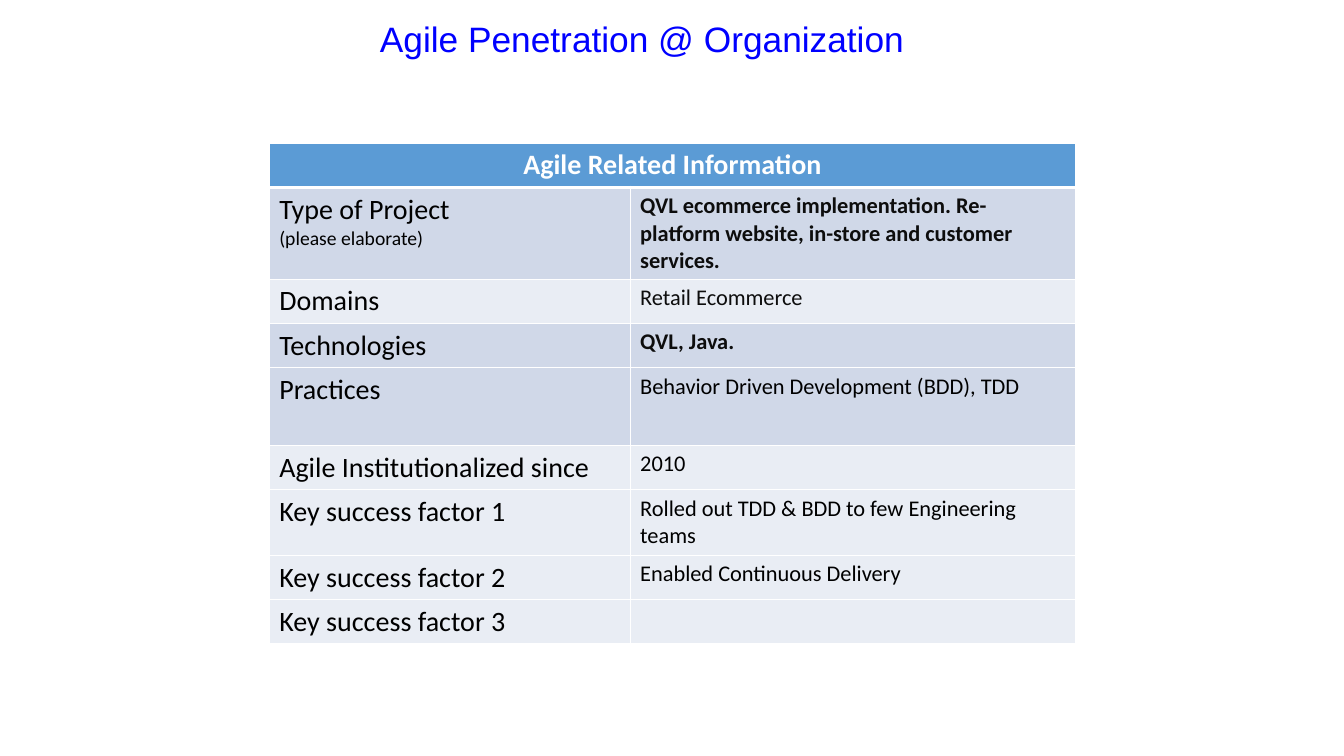
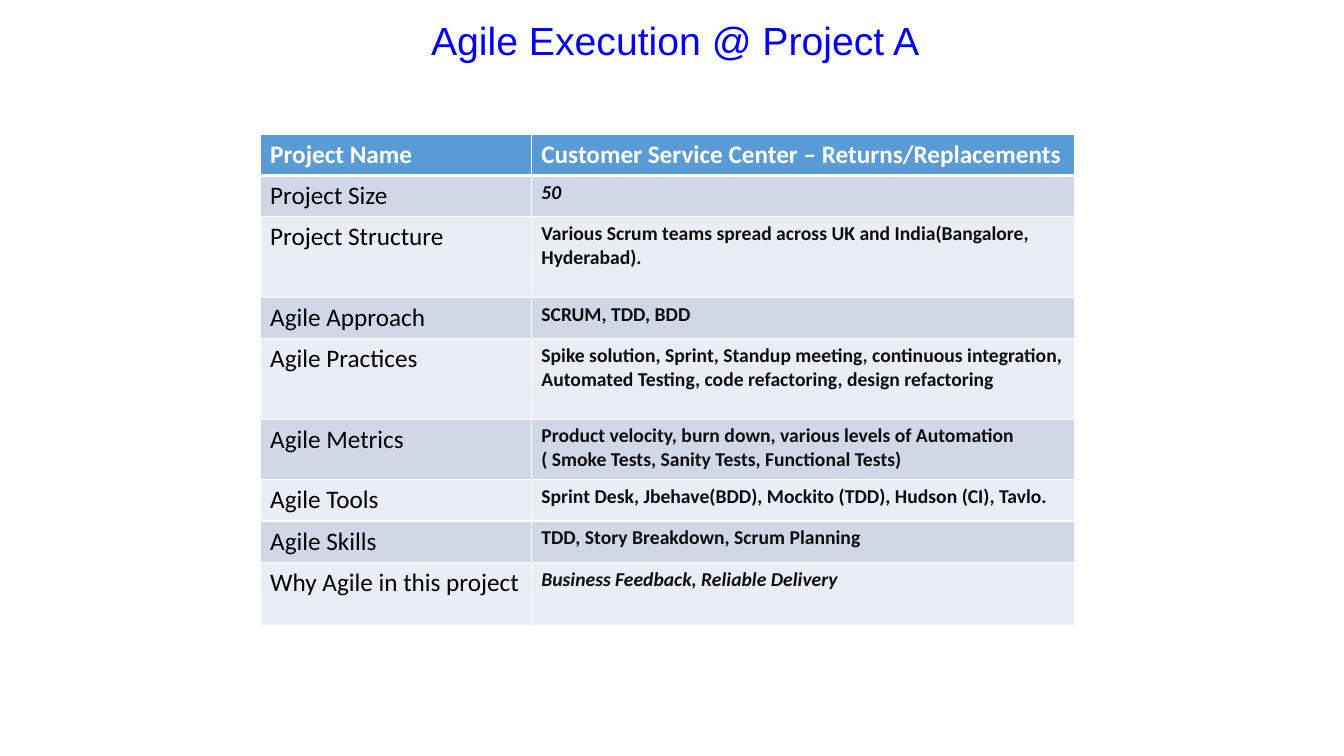
from lxml.etree import SubElement
from pptx import Presentation
from pptx.dml.color import RGBColor
from pptx.enum.text import MSO_ANCHOR, PP_ALIGN
from pptx.oxml.ns import qn
from pptx.util import Inches, Pt

BLUE, HEADER, DARK, LIGHT = "0000FF", "5B9BD5", "D0D8E8", "E9EDF4"
WHITE, BLACK, INK = "FFFFFF", "000000", "0D0D0D"
STYLES = {
    "header": (WHITE, True, False),
    "label": (BLACK, False, False),
    "plain": (BLACK, False, False),
    "ink": (INK, False, False),
    "bold": (INK, True, False),
    "bold italic": (INK, True, True),
}

SLIDES = [
    {
        "title": "Agile Penetration @ Organization",
        "title_box": (3.67, 0.17, 7, 0.83),
        "title_size": 25.2,
        "title_align": PP_ALIGN.LEFT,
        "table_at": (2.67, 1.42),
        "columns": (3.58, 4.42),
        "sizes": (20, 16),
        "header": ("Agile Related Information",),
        "header_height": 0.44,
        "rows": [
            ("Type of Project\n(please elaborate)",
             "QVL ecommerce implementation. Re-platform website, in-store and customer services.",
             "bold", DARK, 0.91),
            ("Domains", "Retail Ecommerce", "ink", LIGHT, 0.44),
            ("Technologies", "QVL, Java.", "bold", DARK, 0.44),
            ("Practices", "Behavior Driven Development (BDD), TDD", "plain", DARK, 0.77),
            ("Agile Institutionalized since", "2010", "plain", LIGHT, 0.44),
            ("Key success factor 1", "Rolled out TDD & BDD to few Engineering teams",
             "plain", LIGHT, 0.65),
            ("Key success factor 2", "Enabled Continuous Delivery", "plain", LIGHT, 0.44),
            ("Key success factor 3", "", "plain", LIGHT, 0.44),
        ],
    },
    {
        "title": "Agile Execution @ Project A",
        "title_box": (3.57, 0.17, 6.25, 0.75),
        "title_size": 28,
        "title_align": PP_ALIGN.CENTER,
        "table_at": (2.58, 1.33),
        "columns": (2.69, 5.39),
        "sizes": (18, 14),
        "header": ("Project Name", "Customer Service Center – Returns/Replacements"),
        "header_height": 0.41,
        "rows": [
            ("Project Size", "50", "bold italic", DARK, 0.41),
            ("Project Structure",
             "Various Scrum teams spread across UK and India(Bangalore, Hyderabad).",
             "bold", LIGHT, 0.8),
            ("Agile Approach", "SCRUM, TDD, BDD", "bold", DARK, 0.41),
            ("Agile Practices",
             "Spike solution, Sprint, Standup meeting, continuous integration, "
             "Automated Testing, code refactoring, design refactoring",
             "bold", LIGHT, 0.8),
            ("Agile Metrics",
             "Product velocity, burn down, various levels of Automation "
             "( Smoke Tests, Sanity Tests, Functional Tests)", "bold", DARK, 0.6),
            ("Agile Tools", "Sprint Desk, Jbehave(BDD), Mockito (TDD), Hudson (CI), Tavlo.",
             "bold", LIGHT, 0.41),
            ("Agile Skills", "TDD, Story Breakdown, Scrum Planning", "bold", DARK, 0.41),
            ("Why Agile in this project", "Business Feedback, Reliable Delivery",
             "bold italic", LIGHT, 0.63),
        ],
    },
]
NOTE_SIZE = 14


def rgb(value):
    """Return the colour for a hex string."""
    return RGBColor.from_string(value)


def add_title(slide, content):
    """Add the blue heading."""
    heading = slide.shapes.add_textbox(*map(Inches, content["title_box"])).text_frame
    heading.word_wrap = True
    heading.vertical_anchor = MSO_ANCHOR.TOP
    heading.text = content["title"]
    line = heading.paragraphs[0]
    line.alignment = content["title_align"]
    line.line_spacing = 0.9
    line.font.name = "Arial"
    line.font.size = Pt(content["title_size"])
    line.font.color.rgb = rgb(BLUE)


def add_borders(cell, row):
    """Draw white cell borders, thicker below the header row."""
    properties = cell._tc.get_or_add_tcPr()
    widths = {"a:lnL": 1, "a:lnR": 1, "a:lnT": 3 if row == 1 else 1, "a:lnB": 1 if row else 3}
    for position, (side, width) in enumerate(widths.items()):
        border = SubElement(properties, qn(side), w=str(Pt(width)))
        fill = SubElement(border, qn("a:solidFill"))
        SubElement(fill, qn("a:srgbClr"), val=WHITE)
        properties.insert(position, border)


def fill_cell(cell, row, text, size, style, shade):
    """Set the text, look and borders of a cell."""
    color, bold, italic = STYLES[style]
    cell.fill.solid()
    cell.fill.fore_color.rgb = rgb(shade)
    add_borders(cell, row)
    cell.text_frame.text = text
    for index, paragraph in enumerate(cell.text_frame.paragraphs):
        font = paragraph.font
        font.name = "Calibri"
        font.size = Pt(NOTE_SIZE if index else size)
        font.bold, font.italic = bold, italic
        font.color.rgb = rgb(color)


def add_facts(slide, content):
    """Add the table of labels and answers."""
    heights = [content["header_height"]] + [row[-1] for row in content["rows"]]
    area = (*content["table_at"], sum(content["columns"]), sum(heights))
    facts = slide.shapes.add_table(len(heights), 2, *map(Inches, area)).table
    facts.first_row = facts.horz_banding = False
    for column, width in zip(facts.columns, content["columns"]):
        column.width = Inches(width)
    for row, height in zip(facts.rows, heights):
        row.height = Inches(height)

    label_size, answer_size = content["sizes"]
    header = content["header"]
    for column in range(2):
        text = header[column] if column < len(header) else ""
        fill_cell(facts.cell(0, column), 0, text, label_size, "header", HEADER)
    if len(header) == 1:
        facts.cell(0, 0).merge(facts.cell(0, 1))
        facts.cell(0, 0).text_frame.paragraphs[0].alignment = PP_ALIGN.CENTER
    for row, (label, answer, style, shade, _) in enumerate(content["rows"], 1):
        fill_cell(facts.cell(row, 0), row, label, label_size, "label", shade)
        fill_cell(facts.cell(row, 1), row, answer, answer_size, style, shade)


def main():
    """Build and save the presentation."""
    deck = Presentation()
    deck.slide_width, deck.slide_height = Inches(13.33), Inches(7.5)
    for content in SLIDES:
        slide = deck.slides.add_slide(deck.slide_layouts[6])
        add_title(slide, content)
        add_facts(slide, content)
    deck.save("out.pptx")


if __name__ == "__main__":
    main()
